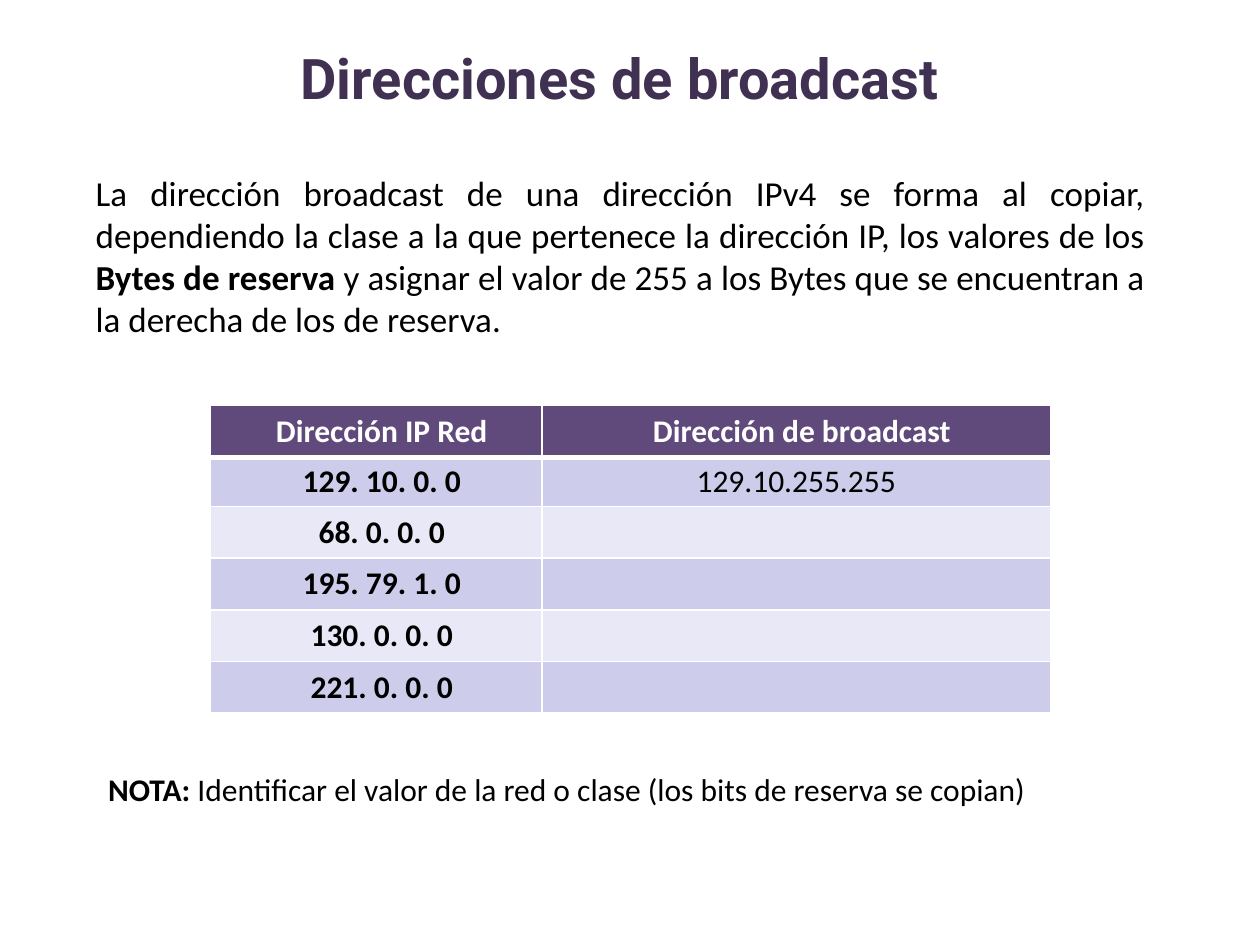
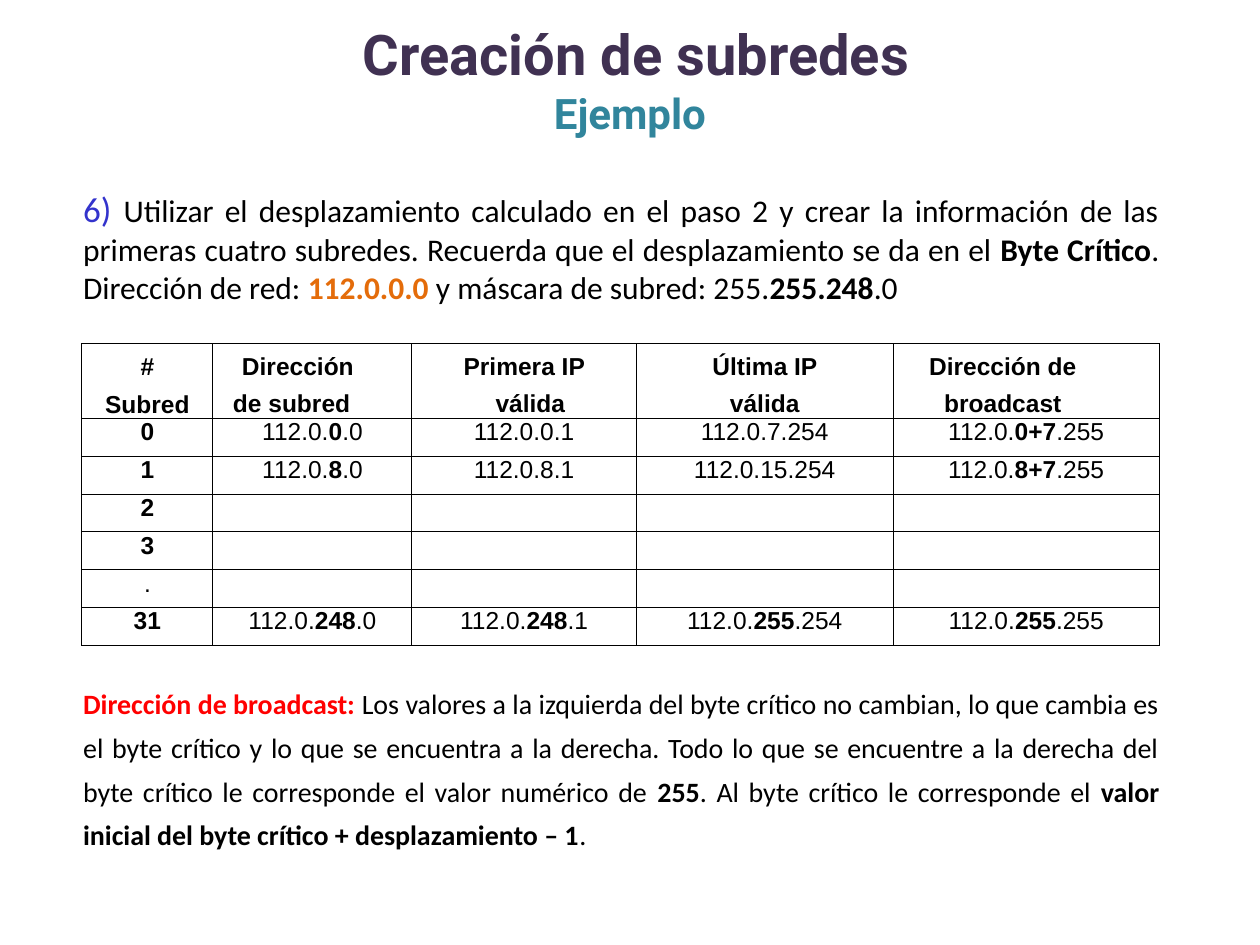
from dataclasses import dataclass
from typing import Optional

import pptx
import pptx.dml.color
import pptx.enum.text
import pptx.oxml
import pptx.oxml.ns
import pptx.util

Inches = pptx.util.Inches
Pt = pptx.util.Pt
RGBColor = pptx.dml.color.RGBColor
Align = pptx.enum.text.PP_ALIGN
Anchor = pptx.enum.text.MSO_ANCHOR

# Shared colours and fonts
BLACK = RGBColor(0x00, 0x00, 0x00)
WHITE = RGBColor(0xFF, 0xFF, 0xFF)
TITLE_PURPLE = RGBColor(0x40, 0x31, 0x52)
SUBTITLE_TEAL = RGBColor(0x31, 0x85, 0x9C)
STEP_BLUE = RGBColor(0x33, 0x33, 0xCC)
NETWORK_ORANGE = RGBColor(0xE4, 0x6C, 0x0A)
WARNING_RED = RGBColor(0xFF, 0x00, 0x00)
HEADER_PURPLE = RGBColor(0x60, 0x4A, 0x7B)
BAND_DARK = RGBColor(0xCD, 0xCD, 0xEB)
BAND_LIGHT = RGBColor(0xE8, 0xE8, 0xF6)
TITLE_FONT, BODY_FONT, SUBNET_FONT = "Roboto", "Calibri", "Arial"


@dataclass(frozen=True)
class Run:
    text: str
    bold: bool = False
    color: RGBColor = BLACK
    size: Optional[float] = None


@dataclass(frozen=True)
class Format:
    """Paragraph format; indents are in inches, sizes in points."""
    font: str
    size: float
    align: Align = Align.CENTER
    left: float = 0
    first: float = 0
    right: float = 0
    line: Optional[float] = None


@dataclass(frozen=True)
class Box:
    left: float
    top: float
    width: float
    height: float


@dataclass(frozen=True)
class Borders:
    color: RGBColor
    width: float
    top: Optional[float] = None
    bottom: Optional[float] = None


@dataclass(frozen=True)
class HeaderCell:
    lines: tuple[str, ...]
    left: float = 0
    first: float = 0
    right: float = 0
    line: float = 21


def marked(text: str, color: RGBColor = BLACK) -> list[Run]:
    """Split text into runs; parts between ** marks are bold."""
    return [Run(part, index % 2 == 1, color)
            for index, part in enumerate(text.split("**")) if part]


def fill_paragraph(paragraph, runs: list[Run], style: Format) -> None:
    paragraph.alignment = style.align
    if style.line:
        paragraph.line_spacing = Pt(style.line)
    properties = paragraph._p.get_or_add_pPr()
    for name, value in (("marL", style.left), ("indent", style.first),
                        ("marR", style.right)):
        properties.set(name, str(Inches(value)))
    paragraph.font.size = Pt(style.size)
    for piece in runs:
        run = paragraph.add_run()
        run.text = piece.text
        run.font.name = style.font
        run.font.size = Pt(piece.size or style.size)
        run.font.bold = piece.bold
        run.font.color.rgb = piece.color


def add_text(slide, box: Box, lines: list[tuple[list[Run], Format]],
             insets: tuple[float, float, float, float] = (0, 0, 0, 0),
             anchor: Anchor = Anchor.TOP) -> None:
    """Add a wrapped text box; insets are left, top, right, bottom."""
    shape = slide.shapes.add_textbox(
        Inches(box.left), Inches(box.top), Inches(box.width), Inches(box.height))
    frame = shape.text_frame
    frame.word_wrap = True
    frame.vertical_anchor = anchor
    (frame.margin_left, frame.margin_top,
     frame.margin_right, frame.margin_bottom) = map(Inches, insets)
    for index, (runs, style) in enumerate(lines):
        paragraph = frame.add_paragraph() if index else frame.paragraphs[0]
        fill_paragraph(paragraph, runs, style)


def add_title(slide, box: Box, title: str, subtitle: str = "",
              shift: float = 0, top_inset: float = 0) -> None:
    lines = [([Run(title, True, TITLE_PURPLE)],
              Format(TITLE_FONT, 32, left=shift))]
    if subtitle:
        lines.append(([Run(subtitle, True, SUBTITLE_TEAL)],
                      Format(TITLE_FONT, 24)))
    add_text(slide, box, lines, (0, top_inset, 0, 0), Anchor.MIDDLE)


def add_grid(slide, left: float, top: float, columns: list[float],
             rows: list[float]):
    """Add a table without banding, sized by its columns and rows."""
    table = slide.shapes.add_table(
        len(rows), len(columns), Inches(left), Inches(top),
        Inches(sum(columns)), Inches(sum(rows))).table
    table.first_row = table.horz_banding = False
    for column, width in zip(table.columns, columns):
        column.width = Inches(width)
    for row, height in zip(table.rows, rows):
        row.height = Inches(height)
    return table


def fill_cell(cell, lines: list[list[Run]], style: Format, borders: Borders,
              fill: Optional[RGBColor] = None,
              anchor: Anchor = Anchor.TOP) -> None:
    cell.margin_left = cell.margin_right = 0
    cell.margin_top = cell.margin_bottom = 0
    cell.vertical_anchor = anchor
    for index, runs in enumerate(lines):
        frame = cell.text_frame
        paragraph = frame.add_paragraph() if index else frame.paragraphs[0]
        fill_paragraph(paragraph, runs, style)
    for tag, width in (("lnL", borders.width), ("lnR", borders.width),
                       ("lnT", borders.top or borders.width),
                       ("lnB", borders.bottom or borders.width)):
        cell._tc.get_or_add_tcPr().append(pptx.oxml.parse_xml(
            f'<a:{tag} {pptx.oxml.ns.nsdecls("a")} w="{Pt(width)}">'
            f'<a:solidFill><a:srgbClr val="{borders.color}"/></a:solidFill>'
            f'</a:{tag}>'))
    if fill is None:
        cell.fill.background()
    else:
        cell.fill.solid()
        cell.fill.fore_color.rgb = fill


# Slide 1: broadcast addresses
BROADCAST_ROWS = [
    ("**Dirección IP Red**", "**Dirección de broadcast**"),
    ("**129. 10. 0. 0**", "129.10.255.255"),
    ("**68. 0. 0. 0**", ""),
    ("**195. 79. 1. 0**", ""),
    ("**130. 0. 0. 0**", ""),
    ("**221. 0. 0. 0**", ""),
]


def build_broadcast_slide(slide) -> None:
    add_title(slide, Box(0.75, 0.13, 8.34, 0.75), "Direcciones de broadcast",
              top_inset=0.21)
    add_text(slide, Box(0.75, 1.36, 8.34, 1.35), [(marked(
        "La dirección broadcast de una dirección IPv4 se forma al copiar, "
        "dependiendo la clase a la que pertenece la dirección IP, los valores "
        "de los **Bytes de reserva** y asignar el valor de 255 a los Bytes que "
        "se encuentran a la derecha de los de reserva."),
        Format(BODY_FONT, 20, Align.JUSTIFY, left=0.01))])

    table = add_grid(slide, 1.67, 3.22, [2.63, 4.04],
                     [0.41, 0.39] + [0.41] * 4)
    for r, row in enumerate(BROADCAST_ROWS):
        header = r == 0
        band = BAND_DARK if r % 2 else BAND_LIGHT
        borders = Borders(WHITE, 1, top=3 if r == 1 else None,
                          bottom=3 if header else None)
        for c, text in enumerate(row):
            indent = 0.09 if header or c == 0 else 0
            fill_cell(table.cell(r, c),
                      [marked(text, WHITE if header else BLACK)],
                      Format(BODY_FONT, 18, left=indent), borders,
                      HEADER_PURPLE if header else band, Anchor.MIDDLE)

    add_text(slide, Box(0.75, 6.06, 8.34, 0.4), [(marked(
        "**NOTA: **Identificar el valor de la red o clase "
        "(los bits de reserva se copian)"),
        Format(BODY_FONT, 18, Align.JUSTIFY, left=0.01))],
        (0.1, 0.05, 0.1, 0.05))


# Slide 2: subnet example
SUBNET_HEADERS = [
    HeaderCell(("#", "Subred"), line=21.3),
    HeaderCell(("Dirección de subred",), left=0.09, first=0.1, right=0.42),
    HeaderCell(("Primera IP válida",), left=0.3, first=-0.1, right=0.2),
    HeaderCell(("Última IP válida",), left=0.44, right=0.44),
    HeaderCell(("Dirección de broadcast",), left=0.1, right=0.47),
]
NO_VALUES = ("",) * 4
SUBNET_ROWS = [
    ("**0**", "112.0.**0**.0", "112.0.0.1", "112.0.7.254",
     "112.0.**0+7**.255"),
    ("**1**", "112.0.**8**.0", "112.0.8.1", "112.0.15.254",
     "112.0.**8+7**.255"),
    ("**2**", *NO_VALUES),
    ("**3**", *NO_VALUES),
    (".", *NO_VALUES),
    ("**31**", "112.0.**248**.0", "112.0.**248**.1", "112.0.**255**.254",
     "112.0.**255**.255"),
]


def build_subnet_slide(slide) -> None:
    add_title(slide, Box(0.1, 0, 9.8, 1.25), "Creación de subredes", "Ejemplo",
              shift=0.1)
    step = [
        Run("6) ", color=STEP_BLUE, size=20),
        *marked("Utilizar el desplazamiento calculado en el paso 2 y crear la "
                "información de las primeras cuatro subredes. Recuerda que el "
                "desplazamiento se da en el **Byte Crítico**. "
                "Dirección de red: "),
        Run("112.0.0.0 ", True, NETWORK_ORANGE),
        *marked("y máscara de subred: 255.**255.248**.0"),
    ]
    add_text(slide, Box(0.65, 1.49, 8.55, 0.94),
             [(step, Format(BODY_FONT, 18, Align.JUSTIFY, left=0.01))])

    table = add_grid(slide, 0.65, 2.73, [1.04, 1.58, 1.78, 2.04, 2.11],
                     [0.59] + [0.3] * len(SUBNET_ROWS))
    borders = Borders(BLACK, 0.65)
    for c, header in enumerate(SUBNET_HEADERS):
        fill_cell(table.cell(0, c), [[Run(line, True)] for line in header.lines],
                  Format(SUBNET_FONT, 14, left=header.left, first=header.first,
                         right=header.right, line=header.line), borders)
    for r, row in enumerate(SUBNET_ROWS, start=1):
        for c, text in enumerate(row):
            fill_cell(table.cell(r, c), [marked(text)],
                      Format(SUBNET_FONT, 14), borders)

    rule = [
        Run("Dirección de broadcast: ", True, WARNING_RED),
        *marked("Los valores a la izquierda del byte crítico no cambian, lo que "
                "cambia es el byte crítico y lo que se encuentra a la derecha. "
                "Todo lo que se encuentre a la derecha del byte crítico le "
                "corresponde el valor numérico de **255**. Al byte crítico le "
                "corresponde el **valor inicial del byte crítico + "
                "desplazamiento – 1**."),
    ]
    add_text(slide, Box(0.65, 5.37, 8.55, 1.37),
             [(rule, Format(BODY_FONT, 16, Align.JUSTIFY, left=0.01, line=25))])


def main() -> None:
    deck = pptx.Presentation()
    deck.slide_width, deck.slide_height = Inches(10), Inches(7.5)
    blank = deck.slide_layouts[6]
    for build in (build_broadcast_slide, build_subnet_slide):
        build(deck.slides.add_slide(blank))
    deck.save("out.pptx")


if __name__ == "__main__":
    main()
